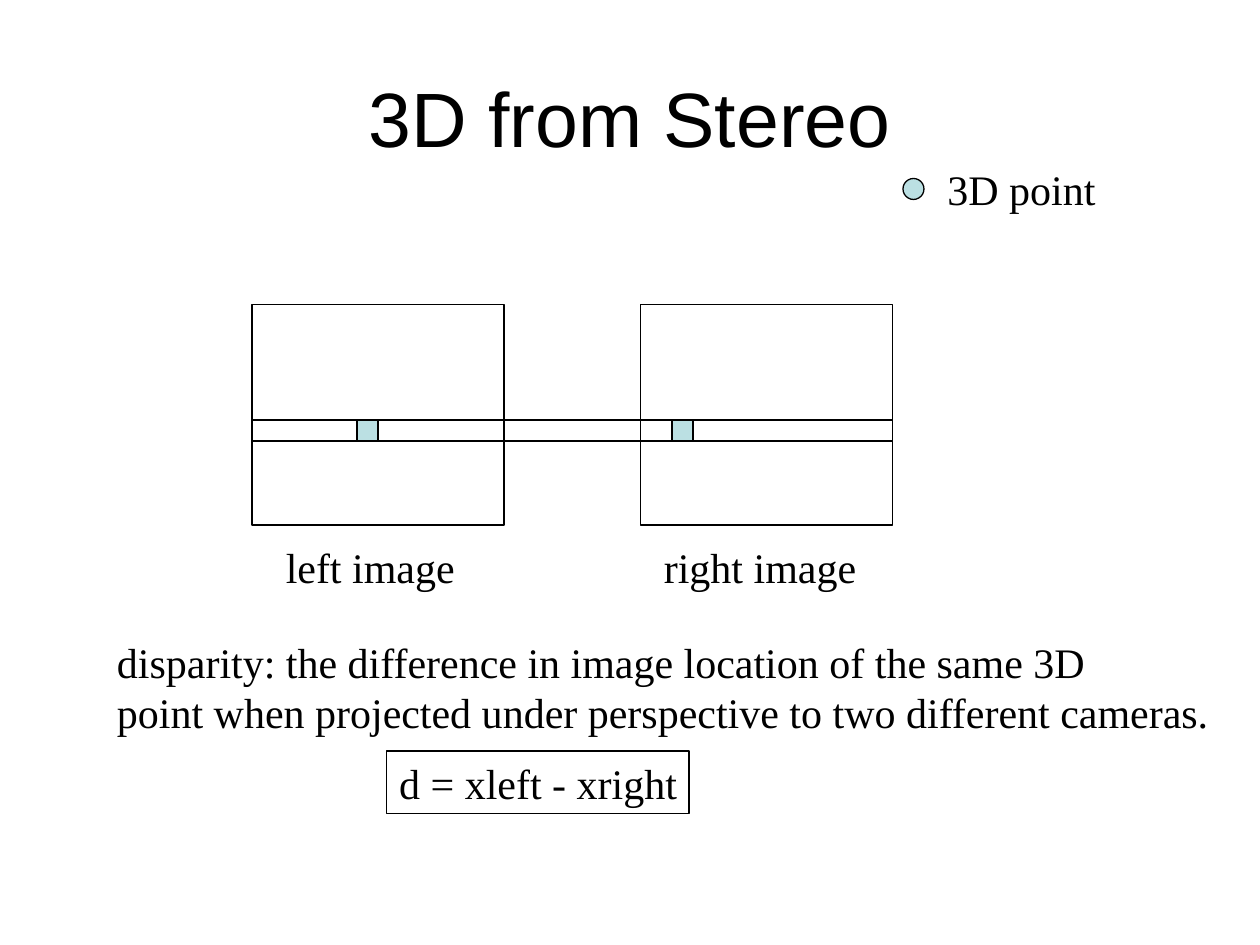
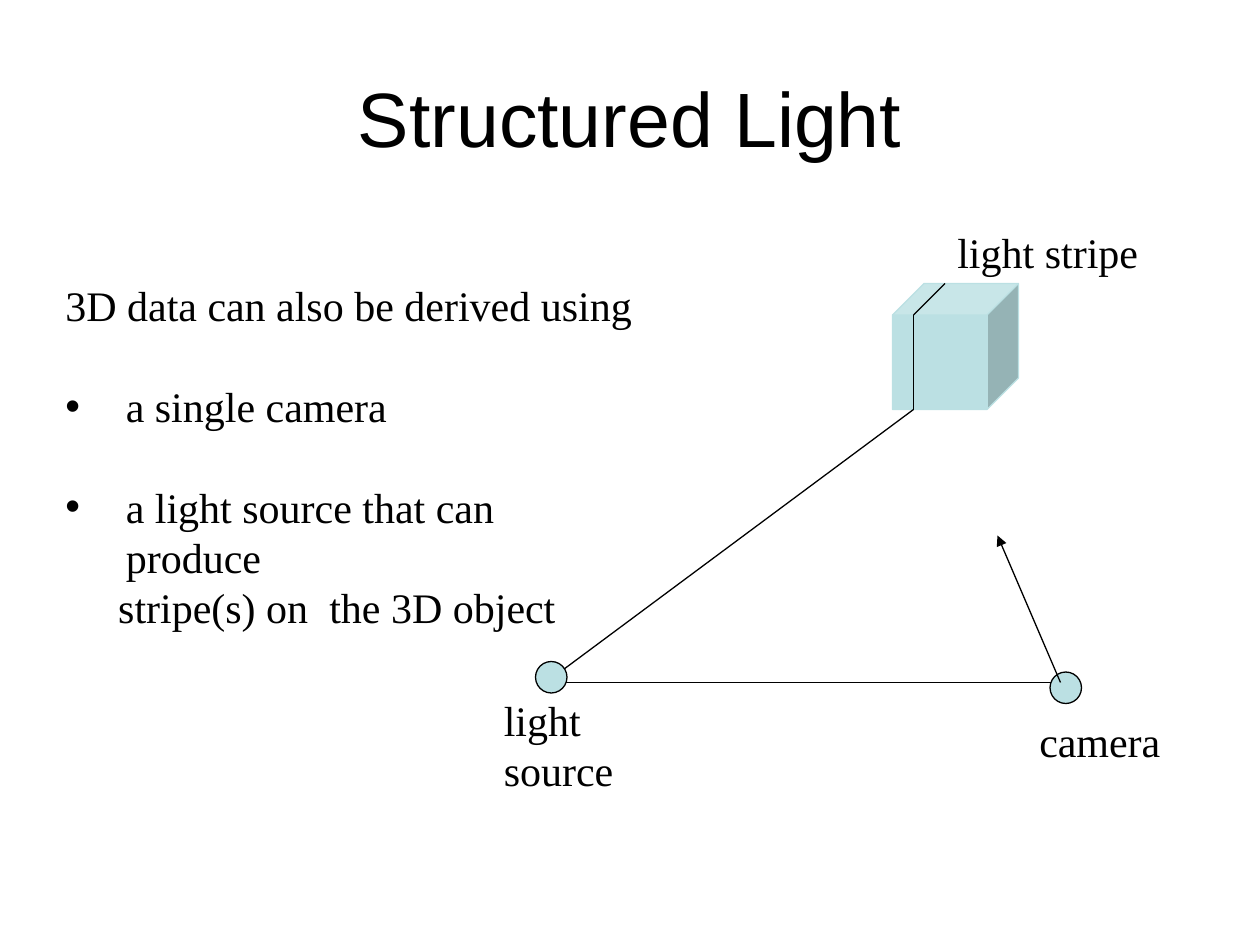
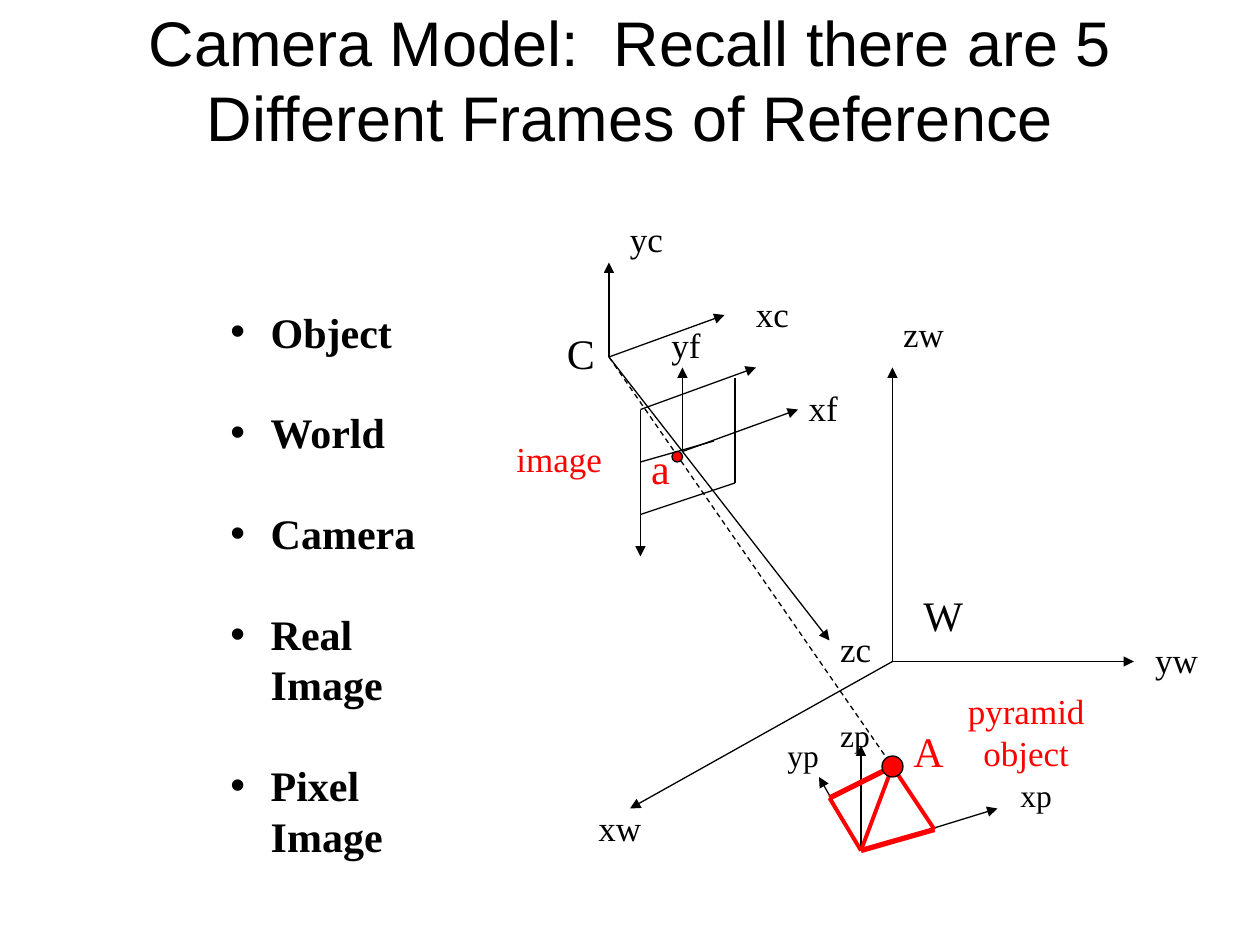
from lxml import etree
from pptx import Presentation
from pptx.dml.color import RGBColor
from pptx.enum.dml import MSO_LINE
from pptx.enum.shapes import MSO_CONNECTOR, MSO_SHAPE
from pptx.enum.text import MSO_ANCHOR, MSO_AUTO_SIZE, PP_ALIGN
from pptx.oxml.ns import qn
from pptx.util import Inches, Pt

BLACK, RED, AQUA = "000000", "FF0000", "BBE0E3"
TITLE_FONT, TEXT_FONT = "Arial", "Times New Roman"
THIN, EDGE, BASE = 0.75, 2.25, 3
LINE_HEIGHT = 1.2
UNIT = 12  # drawings sit on a grid of twelfths of an inch

# Labels: text, left, top, width in inches
STEREO_LABELS = [
    ("left image", 2.17, 4.25, 1.54),
    ("right image", 5.17, 4.25, 1.72),
    ("3D point", 7.42, 1.25, 1.37),
    ("disparity: the difference in image location of the same 3D\n"
     "point when projected under perspective to two different cameras.", 0.83, 5, 8.87),
]
DISPARITY = ("d = xleft - xright", 3.07, 5.96, 2.4)

LIGHT_LABELS = [
    ("light\nsource", 3.9, 5.46, 1.07),
    ("camera", 8.15, 5.63, 1.16),
    ("light stripe", 7.5, 1.75, 1.63),
]
# Text lines: text, indent in inches, bulleted
LIGHT_POINTS = [
    ("3D data can also be derived using", 0, False),
    ("a single camera", 0.48, True),
    ("a light source that can produce", 0.48, True),
    ("stripe(s) on  the 3D object", 0.42, False),
]
FRAMES = [(frame, 0.32, True) for frame in
          ("Object", "World", "Camera", "Real Image", "Pixel Image")]

# Frame labels by size and colour
FRAME_LABELS = {
    (20, BLACK): [("yc", 4.9, 1.68, 0.46), ("xc", 5.9, 2.27, 0.46), ("zc", 6.57, 4.93, 0.44),
                  ("zw", 7.07, 2.43, 0.52), ("yw", 9.07, 5.02, 0.54), ("xw", 4.65, 6.35, 0.54),
                  ("xf", 6.32, 3.02, 0.43), ("yf", 5.23, 2.52, 0.43)],
    (24, BLACK): [("C", 4.4, 2.55, 0.42), ("W", 7.23, 4.63, 0.51)],
    (24, RED): [("A", 7.15, 5.71, 0.44), ("a", 5.07, 3.46, 0.35)],
    (18, BLACK): [("xp", 8, 6.11, 0.45), ("yp", 6.15, 5.79, 0.45), ("zp", 6.57, 5.63, 0.43)],
    (20, RED): [("image", 4, 3.42, 0.88)],
}
PYRAMID_LABEL = ("pyramid\nobject", 7.58, 5.42, 1.13)

# Points on the grid
CAMERA, WORLD, IMAGE_CORNER, IMAGE_CENTRE = (58, 34), (85, 63), (61, 39), (65, 43)
APEX, BASE_LEFT, BASE_FRONT, BASE_RIGHT = (85, 73), (79, 76), (82, 81), (89, 79)
AXES = {
    CAMERA: [(58, 25), (69, 30), (79, 61)],
    WORLD: [(85, 35), (108, 63), (60, 77)],
    BASE_FRONT: [(78, 74), (82, 71), (95, 77)],
    IMAGE_CORNER: [(72, 35), (61, 53)],
    IMAGE_CENTRE: [(76, 39), (65, 35)],
}
IMAGE_EDGES = [[(70, 36), (70, 46), (61, 49)], [(68, 42), (61, 44)]]
PYRAMID_EDGES = [
    (APEX, BASE_LEFT, BASE), (APEX, BASE_RIGHT, EDGE), (APEX, BASE_FRONT, EDGE),
    (BASE_FRONT, BASE_RIGHT, BASE), (BASE_FRONT, BASE_LEFT, EDGE),
]


def rgb(colour):
    return RGBColor.from_string(colour)


def grid(*values):
    return [Inches(value / UNIT) for value in values]


def style(paragraph, size, colour=BLACK, font=TEXT_FONT, bold=False):
    for run in paragraph.runs:
        run.font.name, run.font.size, run.font.bold = font, Pt(size), bold
        run.font.color.rgb = rgb(colour)


def new_slide(prs, title, size=44, lines_below=0):
    """Add a title-only slide; lines_below lifts the title by room for that many lines."""
    slide = prs.slides.add_slide(prs.slide_layouts[5])
    heading = slide.shapes.title
    heading.left, heading.top, heading.width, heading.height = map(Inches, (0.5, 0.3, 9, 1.25))
    frame = heading.text_frame
    frame.text = title
    frame.auto_size, frame.word_wrap = MSO_AUTO_SIZE.NONE, True
    frame.vertical_anchor = MSO_ANCHOR.MIDDLE
    frame.margin_bottom = Inches(0.05 + lines_below * size * LINE_HEIGHT / 72)
    frame.paragraphs[0].alignment = PP_ALIGN.CENTER
    style(frame.paragraphs[0], size, font=TITLE_FONT)
    return slide


def shape(slide, kind, left, top, width, height, fill=None, line=BLACK):
    """Add a preset shape measured on the grid."""
    item = slide.shapes.add_shape(kind, *grid(left, top, width, height))
    item.shadow.inherit = False
    if fill:
        item.fill.solid()
        item.fill.fore_color.rgb = rgb(fill)
    else:
        item.fill.background()
    item.line.color.rgb, item.line.width = rgb(line), Pt(THIN)


def line(slide, start, end, colour=BLACK, width=THIN, ends=(), dashed=False):
    """Join two grid points; ends lists headEnd and tailEnd for arrowheads."""
    item = slide.shapes.add_connector(MSO_CONNECTOR.STRAIGHT, *grid(*start, *end))
    item.line.color.rgb, item.line.width = rgb(colour), Pt(width)
    if dashed:
        item.line.dash_style = MSO_LINE.DASH
    outline = item.line._get_or_add_ln()
    for end_tag in ends:
        etree.SubElement(outline, qn(f"a:{end_tag}"), type="triangle")
    etree.SubElement(item._element.spPr, qn("a:effectLst"))


def path(slide, points):
    for start, end in zip(points, points[1:]):
        line(slide, start, end)


def label(slide, text, left, top, width, size=24, colour=BLACK,
          align=PP_ALIGN.LEFT, boxed=False):
    height = (text.count("\n") + 1) * size * LINE_HEIGHT / 72 + 0.1
    box = slide.shapes.add_textbox(*map(Inches, (left, top, width, height)))
    if boxed:
        box.line.color.rgb, box.line.width = rgb(BLACK), Pt(THIN)
    frame = box.text_frame
    frame.text = text
    frame.word_wrap = False
    if align == PP_ALIGN.LEFT:
        frame.margin_right = 0  # spare room keeps a tight label on one line
    for paragraph in frame.paragraphs:
        paragraph.alignment = align
        style(paragraph, size, colour)


def text_list(slide, entries, left, top, width, height, bold=False, size=24):
    """Write bulleted and plain lines, with one line of space above each bullet."""
    frame = slide.shapes.add_textbox(*map(Inches, (left, top, width, height))).text_frame
    frame.word_wrap = True
    frame.text = "\n".join(text for text, _, _ in entries)
    for number, (paragraph, (_, indent, bulleted)) in enumerate(zip(frame.paragraphs, entries)):
        properties = paragraph._p.get_or_add_pPr()
        properties.set("marL", str(Inches(indent)))
        if bulleted:
            properties.set("indent", str(-Inches(indent)))
            etree.SubElement(properties, qn("a:buFont"), typeface=TITLE_FONT)
            etree.SubElement(properties, qn("a:buChar"), char="•")
            if number:
                paragraph.space_before = Pt(size * LINE_HEIGHT)
        style(paragraph, size, bold=bold)


def stereo(prs):
    slide = new_slide(prs, "3D from Stereo")
    for left, pixel in ((24, 34), (61, 64)):
        shape(slide, MSO_SHAPE.RECTANGLE, left, 29, 24, 21)
        shape(slide, MSO_SHAPE.RECTANGLE, pixel, 40, 2, 2, AQUA)
    for row in (40, 42):
        line(slide, (24, row), (85, row))
    shape(slide, MSO_SHAPE.OVAL, 86, 17, 2, 2, AQUA)
    for entry in STEREO_LABELS:
        label(slide, *entry)
    label(slide, *DISPARITY, boxed=True)


def structured_light(prs):
    slide = new_slide(prs, "Structured Light")
    text_list(slide, LIGHT_POINTS, 0.42, 2.17, 4.7, 2.9)
    shape(slide, MSO_SHAPE.CUBE, 85, 27, 12, 12, AQUA, AQUA)
    source = (52, 65)
    line(slide, source, (102, 65), ends=("headEnd", "tailEnd"))
    path(slide, [source, (87, 39), (87, 30), (90, 27)])
    for left, top in ((51, 63), (100, 64)):
        shape(slide, MSO_SHAPE.OVAL, left, top, 3, 3, AQUA)
    line(slide, (101, 65), (95, 51), ends=("tailEnd",))
    for entry in LIGHT_LABELS:
        label(slide, *entry)


def camera_model(prs):
    slide = new_slide(prs, "Camera Model:  Recall there are 5 Different Frames of Reference",
                      size=36, lines_below=1)
    text_list(slide, FRAMES, 1.73, 2.38, 1.85, 4.5, bold=True)
    for origin, tips in AXES.items():
        for tip in tips:
            line(slide, origin, tip, ends=("tailEnd",))
    line(slide, CAMERA, APEX, dashed=True)
    for points in IMAGE_EDGES:
        path(slide, points)
    for start, end, width in PYRAMID_EDGES:
        line(slide, start, end, RED, width)
    shape(slide, MSO_SHAPE.OVAL, 84, 72, 2, 2, RED)
    shape(slide, MSO_SHAPE.OVAL, 64, 43, 1, 1, RED)
    for (size, colour), entries in FRAME_LABELS.items():
        for entry in entries:
            label(slide, *entry, size, colour)
    label(slide, *PYRAMID_LABEL, 20, RED, PP_ALIGN.CENTER)


def main():
    prs = Presentation()
    prs.slide_width, prs.slide_height = Inches(10), Inches(7.5)
    for build in (stereo, structured_light, camera_model):
        build(prs)
    prs.save("out.pptx")


if __name__ == "__main__":
    main()
